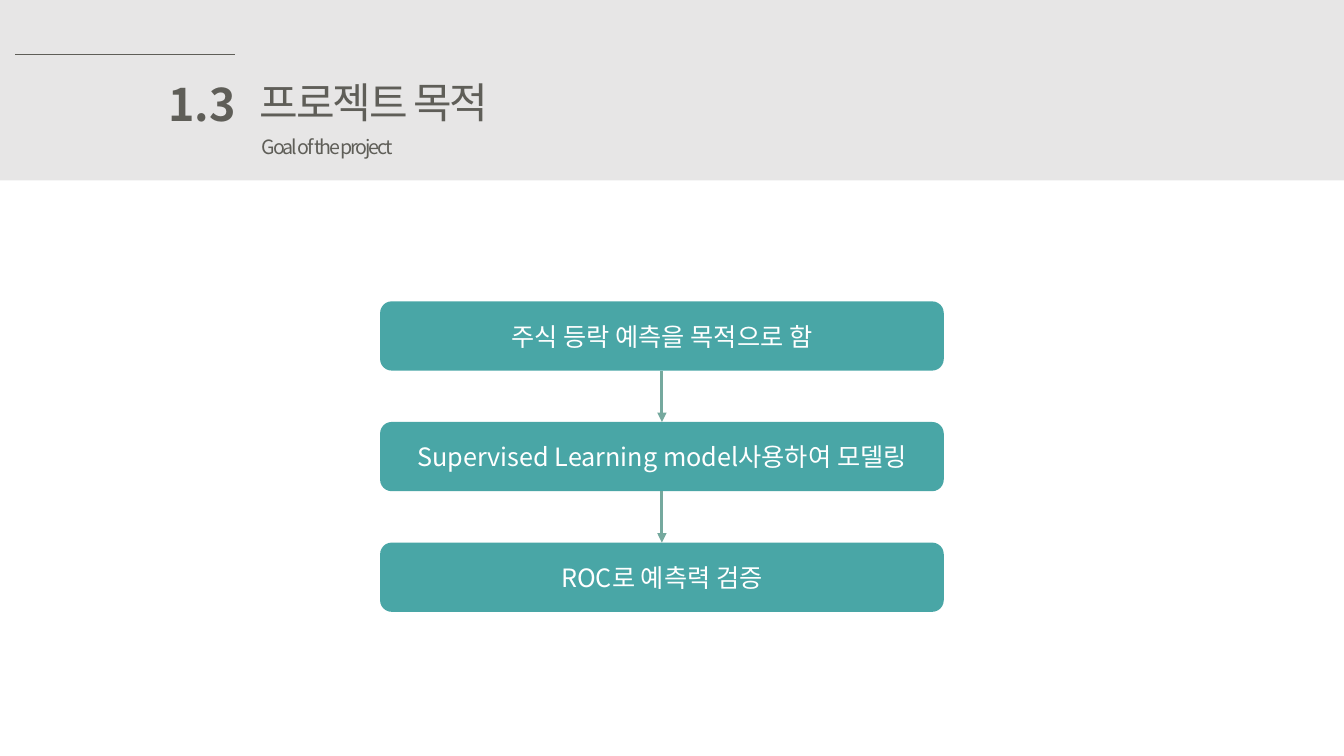
"""Build the project goal slide: a header band above a three-step flow."""
import pptx
import pptx.dml.color
import pptx.enum.dml
import pptx.enum.shapes
import pptx.enum.text
import pptx.oxml.ns
import pptx.util
from lxml import etree

PX = 9144
FONT = "Noto Sans CJK KR"
COLORS = {
    "band": "E7E6E6",
    "ink": "5F5E58",
    "step": "49A6A6",
    "arrow": "75A99E",
    "white": "FFFFFF",
}
ALIGN = pptx.enum.text.PP_ALIGN
ANCHOR = pptx.enum.text.MSO_ANCHOR
SHAPE = pptx.enum.shapes.MSO_SHAPE
STEPS = [
    "주식 등락 예측을 목적으로 함",
    "Supervised Learning model사용하여 모델링",
    "ROC로 예측력 검증",
]


def px(*values):
    """Turn px lengths into EMU."""
    return [pptx.util.Emu(round(v * PX)) for v in values]


def rgb(name):
    """Look up a palette colour."""
    return pptx.dml.color.RGBColor.from_string(COLORS[name])


def add_child(parent, tag, **attrs):
    """Append a drawing element with the given attributes."""
    return etree.SubElement(parent, pptx.oxml.ns.qn(tag), **attrs)


def write(sp, text, size, color, align=ALIGN.LEFT, bold=False, spacing=0):
    """Put one formatted line of text into a shape."""
    p = sp.text_frame.paragraphs[0]
    p.alignment = align
    r = p.add_run()
    r.text = text
    formats = {"name": FONT, "size": pptx.util.Pt(size), "bold": bold}
    for key, value in formats.items():
        setattr(r.font, key, value)
    r.font.color.rgb = rgb(color)
    rPr = r.font._element
    add_child(rPr, "a:ea", typeface=FONT)
    if spacing:
        rPr.set("spc", str(spacing))


def add_block(s, kind, box, color):
    """Add a flat filled shape."""
    sp = s.shapes.add_shape(kind, *px(*box))
    sp.shadow.inherit = False
    sp.fill.solid()
    sp.fill.fore_color.rgb = rgb(color)
    sp.line.fill.background()
    return sp


def add_line(s, start, end, color, width, arrow=False):
    """Add a straight line, with an arrowhead at its end if asked."""
    sp = s.shapes.add_connector(
        pptx.enum.shapes.MSO_CONNECTOR.STRAIGHT, *px(*start, *end))
    sp.line.color.rgb = rgb(color)
    sp.line.width = pptx.util.Pt(width)
    if arrow:
        add_child(sp.line._get_or_add_ln(), "a:tailEnd", type="triangle")
    add_child(sp._element.spPr, "a:effectLst")


def add_header(s, x, y, w, h):
    """Draw the band with section number, title, subtitle and rule."""
    add_block(s, SHAPE.RECTANGLE, (x, y, w, h), "band")
    labels = [
        ("1.3", (156, 71, 88, 64), False,
         {"size": 32, "align": ALIGN.RIGHT, "bold": True}),
        ("프로젝트 목적", (248, 71, 255, 61), False,
         {"size": 30, "spacing": -150}),
        ("Goal of the project", (250, 129, 204, 34), True,
         {"size": 14, "spacing": -150}),
    ]
    for text, (left, top, width, height), wrap, style in labels:
        sp = s.shapes.add_textbox(*px(x + left, y + top, width, height))
        sp.text_frame.word_wrap = wrap
        sp.text_frame.auto_size = pptx.enum.text.MSO_AUTO_SIZE.SHAPE_TO_FIT_TEXT
        write(sp, text, color="ink", **style)
    add_line(s, (x + 15, y + 54), (x + 233, y + 54), "ink", 0.5)


def add_flow(s, x, y, w, h, steps, gap=51):
    """Stack the steps evenly in the box and join them with arrows."""
    step_h = (h - gap * (len(steps) - 1)) / len(steps)
    middle = x + w / 2
    for i, text in enumerate(steps):
        top = y + i * (step_h + gap)
        sp = add_block(s, SHAPE.ROUNDED_RECTANGLE, (x, top, w, step_h), "step")
        sp.text_frame.word_wrap = True
        sp.text_frame.vertical_anchor = ANCHOR.MIDDLE
        write(sp, text, 18, "white", ALIGN.CENTER)
        if i:
            add_line(s, (middle, top - gap), (middle, top), "arrow", 2.25, True)


def main():
    """Build and save the slide."""
    prs = pptx.Presentation()
    prs.slide_width, prs.slide_height = px(1333, 750)
    s = prs.slides.add_slide(prs.slide_layouts[6])
    add_header(s, 0, 0, 1333, 179)
    add_flow(s, 377, 299, 559, 308, STEPS)
    prs.save("out.pptx")


if __name__ == "__main__":
    main()
